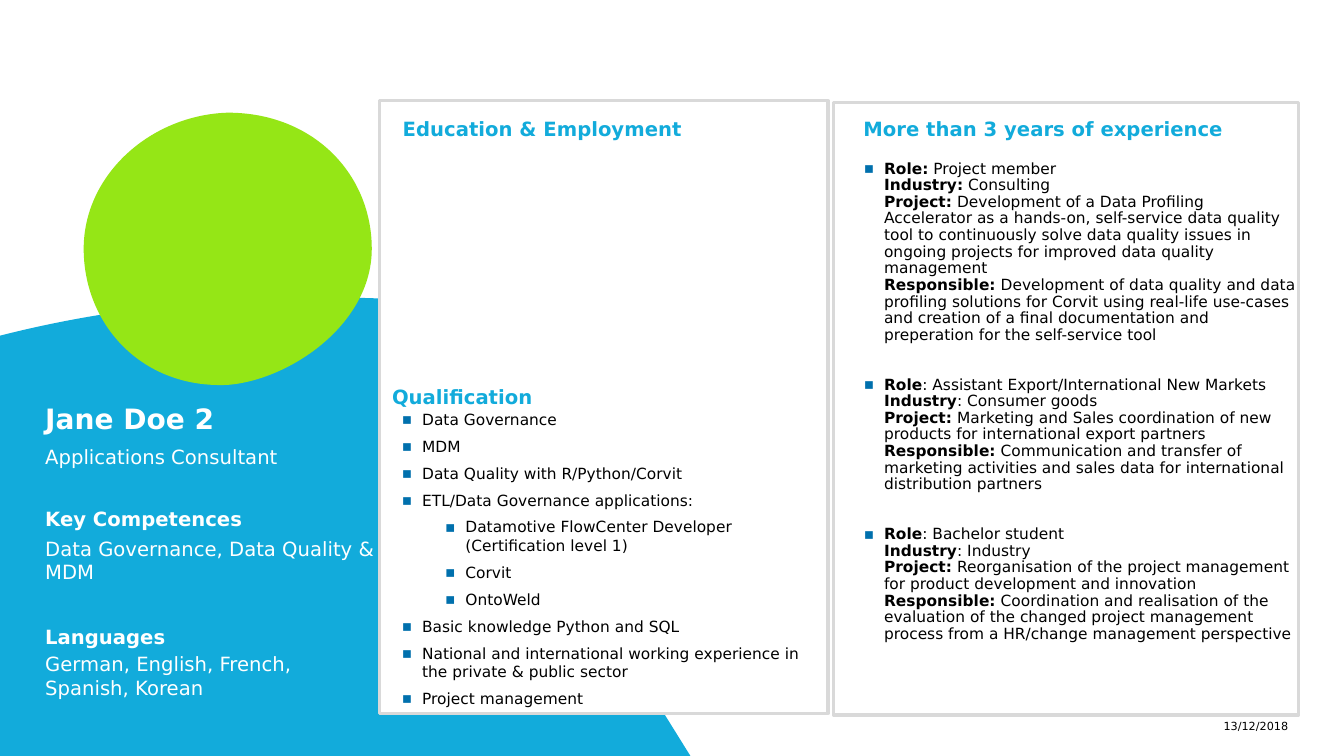
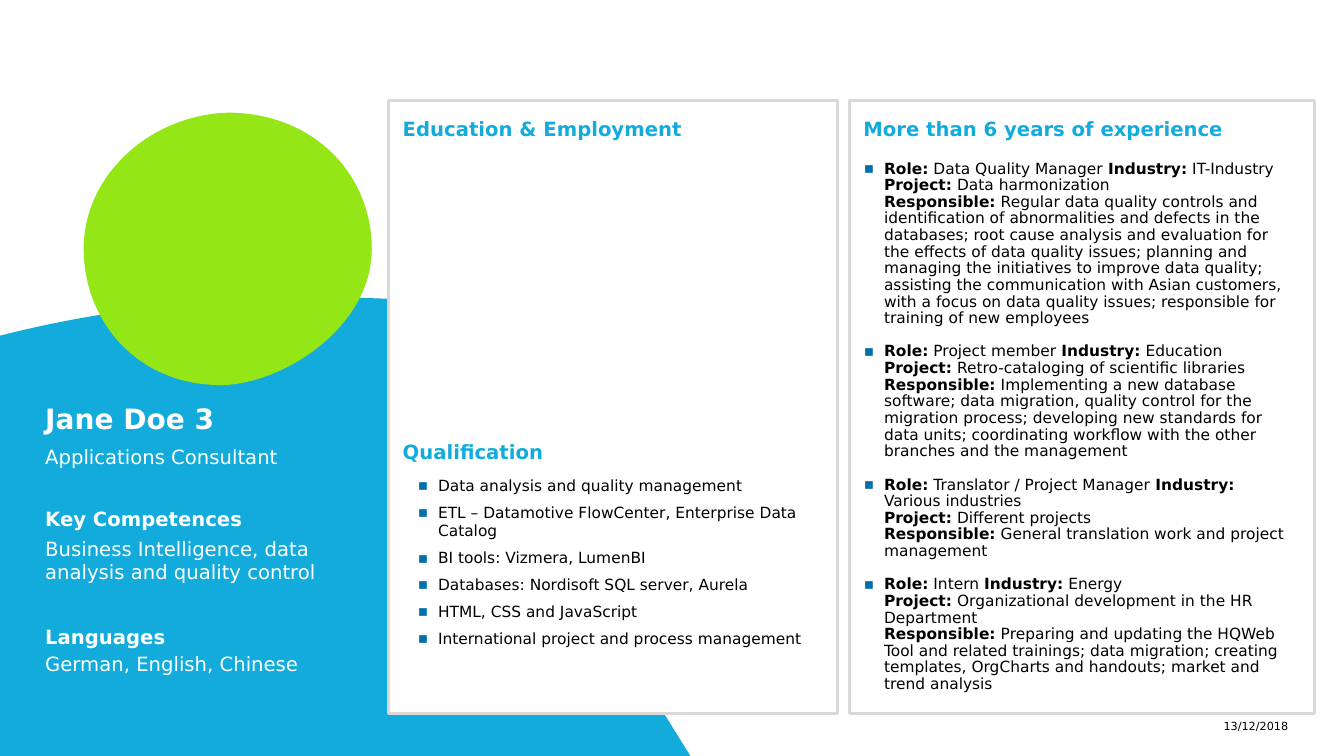
"""Build two consultant profile slides with a shared decorated layout."""
from lxml import etree
from pptx import Presentation
from pptx.dml.color import RGBColor
from pptx.enum.shapes import MSO_SHAPE
from pptx.enum.text import MSO_ANCHOR, MSO_AUTO_SIZE, PP_ALIGN
from pptx.oxml.ns import qn
from pptx.util import Cm, Pt

RECTANGLE = MSO_SHAPE.RECTANGLE
TOP, MIDDLE = MSO_ANCHOR.TOP, MSO_ANCHOR.MIDDLE
LEFT, RIGHT = PP_ALIGN.LEFT, PP_ALIGN.RIGHT
NO_AUTOFIT = MSO_AUTO_SIZE.NONE

BLUE = RGBColor(0x12, 0xAB, 0xDB)
GREEN = RGBColor(0x95, 0xE6, 0x16)
WHITE = RGBColor(0xFF, 0xFF, 0xFF)
BLACK = RGBColor(0x00, 0x00, 0x00)
GREY = RGBColor(0xD9, 0xD9, 0xD9)
BULLET_BLUE = RGBColor(0x00, 0x70, 0xAD)
FONT = "DejaVu Sans"

DATE = "13/12/2018"
SIDE_LEFT, SIDE_WIDTH = 1.14, 8.41
EDUCATION_LEFT, EXPERIENCE_LEFT = 10.15, 21.76
HEADING_TOP, HEADING_WIDTH, HEADING_HEIGHT = 2.59, 10.9, 1.14
FRAME_HEIGHT = 15.44
FRAME_WIDTHS = (11.3, 11.73)
INDENTS = (0.51, 1.6)
HANGING = 0.51

WAVE_START = (7.87, 7.49)
WAVE = [
    [(8.79, 7.49), (9.7, 7.52), (10.62, 7.57)],
    [(11.4, 10.44), (14.15, 13.94), (16.61, 17.78)],
    [(17.4, 19.05)],
    [(0, 19.05)],
    [(0, 8.46)],
    [(2.49, 7.82), (5.16, 7.52), (7.87, 7.49)],
]
BLOB_START = (2.11, 6.27)
BLOB = [
    [(2.11, 4.39), (3.81, 2.9), (5.74, 2.84)],
    [(7.9, 2.84), (9.37, 4.39), (9.37, 6.27)],
    [(9.37, 8.18), (7.29, 9.58), (5.74, 9.7)],
    [(3.58, 9.8), (2.11, 8.18), (2.11, 6.27)],
]

PROFILES = [
    {
        "name": "Jane Doe 2",
        "competences": "Data Governance, Data Quality & MDM",
        "languages": "German, English, French, Spanish, Korean",
        "frames": [(9.57, 2.54), (21, 2.58)],
        "qualification_at": (9.88, 9.34),
        "list_at": (10.13, 10.33),
        "qualifications": [
            (0, "Data Governance"),
            (0, "MDM"),
            (0, "Data Quality with R/Python/Corvit"),
            (0, "ETL/Data Governance applications:"),
            (1, "Datamotive FlowCenter Developer (Certification level 1)"),
            (1, "Corvit"),
            (1, "OntoWeld"),
            (0, "Basic knowledge Python and SQL"),
            (0, "National and international working experience in the private & public sector"),
            (0, "Project management"),
        ],
        "experience_title": "More than 3 years of experience",
        "job_gap": 23.7,
        "jobs": [
            [
                "*Role:* Project member",
                "*Industry:* Consulting",
                "*Project:* Development of a Data Profiling Accelerator as a hands-on, "
                "self-service data quality tool to continuously solve data quality issues "
                "in ongoing projects for improved data quality management",
                "*Responsible:* Development of data quality and data profiling solutions "
                "for Corvit using real-life use-cases and creation of a final documentation "
                "and preperation for the self-service tool",
            ],
            [
                "*Role*: Assistant Export/International New Markets",
                "*Industry*: Consumer goods",
                "*Project:* Marketing and Sales coordination of new products for "
                "international export partners",
                "*Responsible:* Communication and transfer of marketing activities and "
                "sales data for international distribution partners",
            ],
            [
                "*Role*: Bachelor student",
                "*Industry*: Industry",
                "*Project:* Reorganisation of the project management for product "
                "development and innovation",
                "*Responsible:* Coordination and realisation of the evaluation of the "
                "changed project management process from a HR/change management perspective",
            ],
        ],
    },
    {
        "name": "Jane Doe 3",
        "competences": "Business Intelligence, data analysis and quality control",
        "languages": "German, English, Chinese",
        "frames": [(9.8, 2.54), (21.4, 2.54)],
        "qualification_at": (10.15, 10.72),
        "list_at": (10.53, 12),
        "qualifications": [
            (0, "Data analysis and quality management"),
            (0, "ETL – Datamotive FlowCenter, Enterprise Data Catalog"),
            (0, "BI tools: Vizmera, LumenBI"),
            (0, "Databases: Nordisoft SQL server, Aurela"),
            (0, "HTML, CSS and JavaScript"),
            (0, "International project and process management"),
        ],
        "experience_title": "More than 6 years of experience",
        "job_gap": 11.9,
        "jobs": [
            [
                "*Role:* Data Quality Manager *Industry:* IT-Industry",
                "*Project:* Data harmonization",
                "*Responsible:* Regular data quality controls and identification of "
                "abnormalities and defects in the databases; root cause analysis and "
                "evaluation for the effects of data quality issues; planning and managing "
                "the initiatives to improve data quality; assisting the communication with "
                "Asian customers, with a focus on data quality issues; responsible for "
                "training of new employees",
            ],
            [
                "*Role:* Project member *Industry:* Education",
                "*Project:* Retro-cataloging of scientific libraries",
                "*Responsible:* Implementing a new database software; data migration, "
                "quality control for the migration process; developing new standards for "
                "data units; coordinating workflow with the other branches and the management",
            ],
            [
                "*Role:* Translator / Project Manager *Industry:* Various industries",
                "*Project:* Different projects",
                "*Responsible:* General translation work and project management",
            ],
            [
                "*Role:* Intern *Industry:* Energy",
                "*Project:* Organizational development in the HR Department",
                "*Responsible:* Preparing and updating the HQWeb Tool and related "
                "trainings; data migration; creating templates, OrgCharts and handouts; "
                "market and trend analysis",
            ],
        ],
    },
]


def place(shape, left, top, width, height):
    """Set the position and size of a shape in centimetres."""
    shape.left, shape.top, shape.width, shape.height = map(Cm, (left, top, width, height))


def write_paragraph(paragraph, text, *, size=14, color=WHITE, bold=False, align=LEFT,
                    line=None, before=0, after=0, indent=0, bullet=False):
    """Fill a paragraph with text, where asterisks enclose bold parts."""
    paragraph.alignment = align
    paragraph.line_spacing = line
    paragraph.space_before, paragraph.space_after = Pt(before), Pt(after)
    for index, part in enumerate(text.split("*")):
        if part:
            run = paragraph.add_run()
            run.text = part
            run.font.name, run.font.size = FONT, Pt(size)
            run.font.bold = bold or index % 2 == 1
            run.font.color.rgb = color
    properties = paragraph._p.get_or_add_pPr()
    properties.set("marL", str(Cm(indent)))
    properties.set("indent", str(-Cm(HANGING) if bullet else 0))
    if bullet:
        bullet_color = etree.SubElement(properties, qn("a:buClr"))
        etree.SubElement(bullet_color, qn("a:srgbClr"), val=str(BULLET_BLUE))
        etree.SubElement(properties, qn("a:buFont"), typeface=FONT)
        etree.SubElement(properties, qn("a:buChar"), char="▪")


def write_text(shape, paragraphs, anchor=TOP, **text_format):
    """Write a string, or (text, format) pairs, into a shape."""
    if isinstance(paragraphs, str):
        paragraphs = [(paragraphs, {})]
    frame = shape.text_frame
    frame.word_wrap, frame.auto_size = True, NO_AUTOFIT
    frame.vertical_anchor = anchor
    frame.margin_left = frame.margin_right = frame.margin_top = frame.margin_bottom = 0
    for index, (text, own_format) in enumerate(paragraphs):
        paragraph = frame.add_paragraph() if index else frame.paragraphs[0]
        write_paragraph(paragraph, text, **{**text_format, **own_format})


def add_text(slide, box, paragraphs, **text_format):
    """Add a text box at a (left, top, width, height) box."""
    shape = slide.shapes.add_textbox(*map(Cm, box))
    write_text(shape, paragraphs, **text_format)


def add_heading(slide, left, top, text, color=BLUE, width=HEADING_WIDTH, height=HEADING_HEIGHT):
    """Add a bold section heading."""
    add_text(slide, (left, top, width, height), text, anchor=MIDDLE, color=color,
             bold=True, line=Pt(22), after=6)


def add_outline(slide, start, segments, color):
    """Add a filled outline whose three-point segments are cubic curves."""
    builder = slide.shapes.build_freeform(*map(Cm, start))
    builder.add_line_segments([(Cm(x), Cm(y)) for segment in segments for x, y in segment])
    shape = builder.convert_to_shape()
    lines = iter(list(shape.element.iter(qn("a:lnTo"))))
    for segment in segments:
        parts = [next(lines) for _ in segment]
        if len(parts) == 3:
            curve = etree.Element(qn("a:cubicBezTo"))
            parts[0].addprevious(curve)
            for part in parts:
                curve.append(part[0])
                part.getparent().remove(part)
    shape.shadow.inherit = False
    shape.fill.solid()
    shape.fill.fore_color.rgb = color
    shape.line.fill.background()
    return shape


def decorate_layout(layout, slide):
    """Draw the coloured outlines and move them to the layout."""
    for placeholder in list(layout.placeholders)[1:]:
        placeholder.element.getparent().remove(placeholder.element)
    outlines = ((WAVE_START, WAVE, BLUE), (BLOB_START, BLOB, GREEN))
    for position, outline in enumerate(outlines, 2):
        layout.shapes.element.insert(position, add_outline(slide, *outline).element)


def add_frame(slide, left, top, width):
    """Add a white panel with a grey border."""
    frame = slide.shapes.add_shape(RECTANGLE, *map(Cm, (left, top, width, FRAME_HEIGHT)))
    frame.shadow.inherit = False
    frame.fill.solid()
    frame.fill.fore_color.rgb = WHITE
    frame.line.color.rgb = GREY
    frame.line.width = Pt(2.25)


def job_paragraphs(jobs, gap):
    """Return the paragraphs of all jobs, with a bullet on the first line of each."""
    return [(line, {"bullet": row == 0, "before": gap if number and row == 0 else 0})
            for number, job in enumerate(jobs) for row, line in enumerate(job)]


def fill_profile(slide, profile):
    """Place the content of one profile."""
    title = slide.shapes.title
    place(title, SIDE_LEFT, 10.01, SIDE_WIDTH, HEADING_HEIGHT)
    write_text(title, profile["name"], anchor=MIDDLE, size=20, bold=True, line=Pt(22))
    for (left, top), width in zip(profile["frames"], FRAME_WIDTHS):
        add_frame(slide, left, top, width)

    add_heading(slide, EDUCATION_LEFT, HEADING_TOP, "Education & Employment")
    add_heading(slide, EXPERIENCE_LEFT, HEADING_TOP, profile["experience_title"])
    add_heading(slide, *profile["qualification_at"], "Qualification")
    for top, text in ((12.52, "Key Competences"), (15.49, "Languages")):
        add_heading(slide, SIDE_LEFT, top, text, WHITE, SIDE_WIDTH, 0.91)
    for top, text in ((11.21, "Applications Consultant"), (13.52, profile["competences"]),
                      (16.43, profile["languages"])):
        add_text(slide, (SIDE_LEFT, top, SIDE_WIDTH, 1.5), text, after=6)

    qualifications = [(text, {"indent": INDENTS[level]})
                      for level, text in profile["qualifications"]]
    add_text(slide, (*profile["list_at"], 10.59, 6.53), qualifications,
             size=11, color=BLACK, after=6, bullet=True)
    add_text(slide, (21.77, 4.05, 10.9, 13.74),
             job_paragraphs(profile["jobs"], profile["job_gap"]),
             size=11, color=BLACK, line=0.9, indent=INDENTS[0])
    add_text(slide, (25.1, 17.99, 7.37, 0.61), DATE, anchor=MIDDLE,
             size=8, color=BLACK, align=RIGHT)


def main():
    """Create and save the presentation."""
    presentation = Presentation()
    presentation.slide_width, presentation.slide_height = Cm(33.87), Cm(19.05)
    layout = presentation.slide_layouts[5]
    slides = [presentation.slides.add_slide(layout) for _ in PROFILES]
    decorate_layout(layout, slides[0])
    for slide, profile in zip(slides, PROFILES):
        fill_profile(slide, profile)
    presentation.save("out.pptx")


if __name__ == "__main__":
    main()
